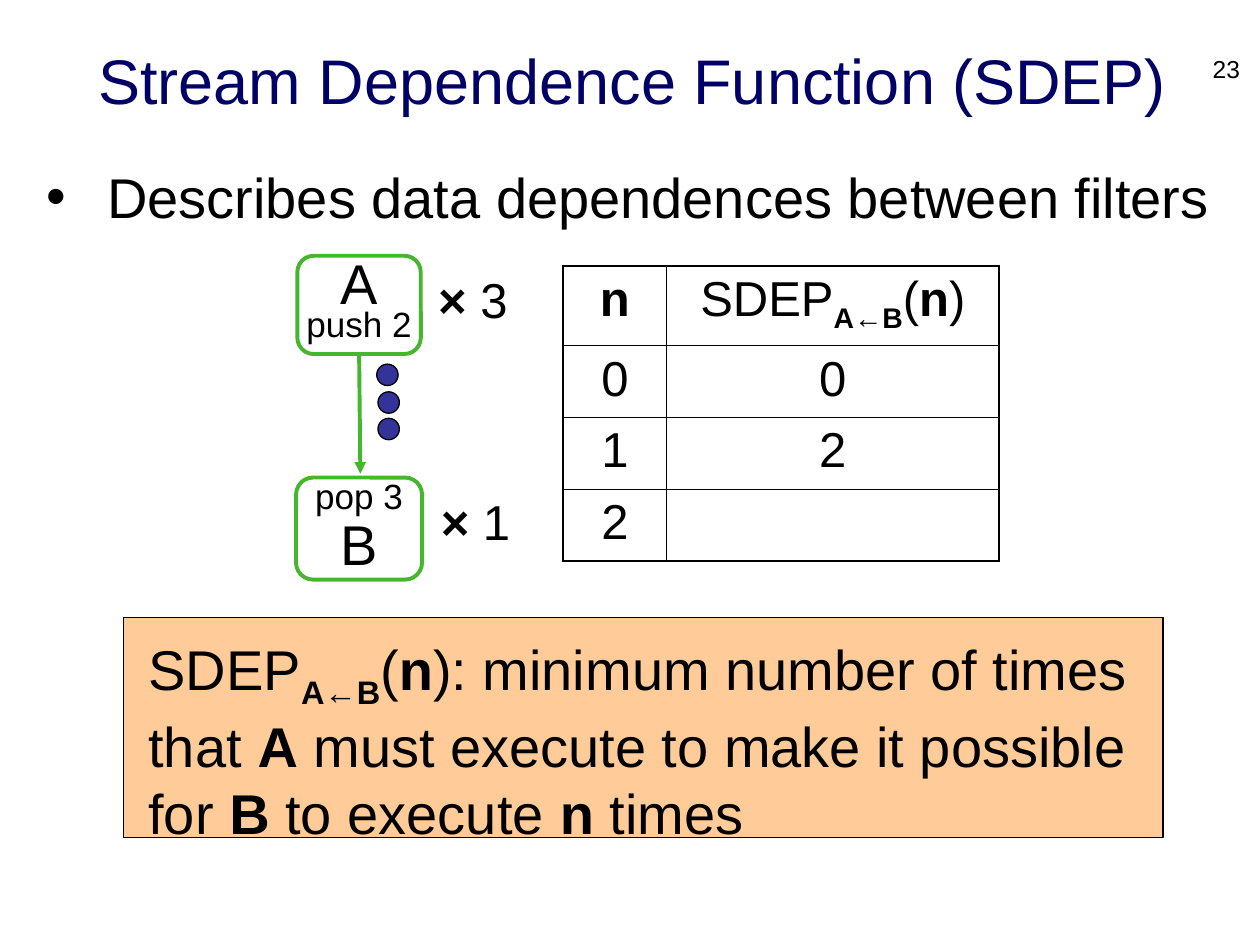
from lxml.etree import SubElement
from pptx import Presentation
from pptx.dml.color import RGBColor
from pptx.enum.shapes import MSO_CONNECTOR, MSO_SHAPE
from pptx.enum.text import MSO_ANCHOR, MSO_AUTO_SIZE, PP_ALIGN
from pptx.oxml.ns import qn
from pptx.util import Inches, Pt

FONT = "Arial"
COLORS = {
    "text": "000000",
    "title": "000066",
    "filter": "45B62E",
    "item": "333399",
    "definition": "FFCC99",
}
PLAIN, BOLD, SUB, BOLD_SUB = "", "b", "s", "bs"
SDEP_OF_N = [
    ("SDEP", PLAIN), ("A", BOLD_SUB), ("←", SUB), ("B", BOLD_SUB),
    ("(", PLAIN), ("n", BOLD), (")", PLAIN),
]
DEFINITION = SDEP_OF_N + [
    (": minimum number of times that ", PLAIN), ("A", BOLD),
    (" must execute to make it possible for ", PLAIN), ("B", BOLD),
    (" to execute ", PLAIN), ("n", BOLD), (" times", PLAIN),
]
SDEP_ROWS = [
    ([("n", BOLD)], SDEP_OF_N),
    ([("0", PLAIN)], [("0", PLAIN)]),
    ([("1", PLAIN)], [("2", PLAIN)]),
    ([("2", PLAIN)], []),
]


def rgb(name):
    return RGBColor.from_string(COLORS[name])


def inches(values):
    return [Inches(value) for value in values]


def add_run(paragraph, text, size, style=PLAIN, color="text"):
    run = paragraph.add_run()
    run.text = text
    font = run.font
    font.name, font.size, font.bold = FONT, Pt(size), "b" in style
    font.color.rgb = rgb(color)
    if "s" in style:
        font._element.set("baseline", "-25000")


def add_runs(paragraph, runs, size):
    for text, style in runs:
        add_run(paragraph, text, size, style)


def set_margins(frame, side=0.1):
    frame.margin_left = frame.margin_right = Inches(side)
    frame.margin_top = frame.margin_bottom = Inches(0.05)


def fill_placeholder(placeholder, box, text, size, color="text"):
    (placeholder.left, placeholder.top,
     placeholder.width, placeholder.height) = inches(box)
    frame = placeholder.text_frame
    frame.auto_size = MSO_AUTO_SIZE.NONE
    set_margins(frame)
    paragraph = frame.paragraphs[0]
    paragraph.space_before = Pt(0)
    add_run(paragraph, text, size, color=color)
    return paragraph


def add_text(slide, box, runs, size, align=PP_ALIGN.LEFT, wrap=True):
    frame = slide.shapes.add_textbox(*inches(box)).text_frame
    frame.word_wrap = wrap
    set_margins(frame)
    frame.paragraphs[0].alignment = align
    add_runs(frame.paragraphs[0], runs, size)


def add_shape(slide, kind, box, fill=None, line="text", width=0.75):
    shape = slide.shapes.add_shape(kind, *inches(box))
    shape.shadow.inherit = False
    if fill:
        shape.fill.solid()
        shape.fill.fore_color.rgb = rgb(fill)
    else:
        shape.fill.background()
    shape.line.color.rgb = rgb(line)
    shape.line.width = Pt(width)
    return shape


def add_filter(slide, box, spacing):
    """Add a rounded filter node and return its first paragraph."""
    node = add_shape(slide, MSO_SHAPE.ROUNDED_RECTANGLE, box,
                     line="filter", width=2.25)
    frame = node.text_frame
    frame.word_wrap = False
    frame.vertical_anchor = MSO_ANCHOR.MIDDLE
    set_margins(frame, side=0.09)
    paragraph = frame.paragraphs[0]
    paragraph.alignment = PP_ALIGN.CENTER
    paragraph.line_spacing = spacing
    return paragraph


def add_arrow(slide, start, end):
    arrow = slide.shapes.add_connector(
        MSO_CONNECTOR.STRAIGHT, *inches(start + end))
    arrow.line.color.rgb = rgb("filter")
    arrow.line.width = Pt(2.25)
    SubElement(arrow.line._get_or_add_ln(), qn("a:tailEnd"), type="triangle")
    SubElement(arrow._element.spPr, qn("a:effectLst"))


def set_borders(cell, widths):
    properties = cell._tc.get_or_add_tcPr()
    for side, width in widths.items():
        border = SubElement(properties, qn(f"a:ln{side}"), w=str(Pt(width)))
        fill = SubElement(border, qn("a:solidFill"))
        SubElement(fill, qn("a:srgbClr"), val=COLORS["text"])


def add_sdep_table(slide):
    columns, heights = (0.82, 2.64), (0.63, 0.57, 0.57, 0.57)
    outer, inner = 1.08, 0.45
    table = slide.shapes.add_table(
        len(heights), len(columns),
        *inches((4.47, 2.11, sum(columns), sum(heights)))).table
    table.first_row = table.horz_banding = False
    for column, width in zip(table.columns, columns):
        column.width = Inches(width)
    for r, (contents, height) in enumerate(zip(SDEP_ROWS, heights)):
        table.rows[r].height = Inches(height)
        for c, runs in enumerate(contents):
            cell = table.cell(r, c)
            set_margins(cell)
            set_borders(cell, {
                "L": outer if c == 0 else inner,
                "R": outer if c == len(columns) - 1 else inner,
                "T": outer if r == 0 else inner,
                "B": outer if r == len(heights) - 1 else inner,
            })
            cell.fill.background()
            paragraph = cell.text_frame.paragraphs[0]
            paragraph.alignment = PP_ALIGN.CENTER
            add_runs(paragraph, runs, 28)


def add_stream_graph(slide):
    consumer = add_filter(slide, (2.35, 3.79, 1, 0.81), 0.9)
    add_run(consumer, "pop 3", 20)
    name = consumer._parent.add_paragraph()
    name.alignment, name.line_spacing = PP_ALIGN.CENTER, 0.9
    add_run(name, "B", 32)

    producer = add_filter(slide, (2.36, 2.03, 0.98, 0.78), 0.7)
    add_run(producer, "A", 32)
    producer.add_line_break()
    add_run(producer, "push 2", 20)

    for left, top, count in ((3.38, 2.09, 3), (3.4, 3.85, 1)):
        add_text(slide, (left, top, 0.83, 0.57),
                 [("×", BOLD), (f" {count}", PLAIN)], 28, wrap=False)
    for left, top in ((2.99, 2.89), (3, 3.11), (3, 3.32)):
        add_shape(slide, MSO_SHAPE.OVAL, (left, top, 0.17, 0.17), fill="item")
    add_arrow(slide, (2.85, 2.8), (2.86, 3.76))


def main():
    deck = Presentation()
    deck.slide_width, deck.slide_height = Inches(10), Inches(7.5)
    slide = deck.slides.add_slide(deck.slide_layouts[1])
    title, body = slide.placeholders

    heading = fill_placeholder(title, (0.29, 0.19, 9.46, 0.88),
                               "Stream Dependence Function (SDEP)", 36, "title")
    heading.alignment = PP_ALIGN.CENTER
    title.text_frame.vertical_anchor = MSO_ANCHOR.MIDDLE

    bullet = fill_placeholder(body, (0.27, 1.24, 9.47, 1.45),
                              "Describes data dependences between filters", 32)
    hanging = Inches(0.48)
    bullet_format = bullet._p.get_or_add_pPr()
    bullet_format.set("marL", str(hanging))
    bullet_format.set("indent", str(-hanging))

    add_stream_graph(slide)
    add_sdep_table(slide)
    add_shape(slide, MSO_SHAPE.RECTANGLE, (0.98, 4.9, 8.25, 1.75),
              fill="definition")
    add_text(slide, (1.08, 4.99, 8.2, 1.78), DEFINITION, 32)
    add_text(slide, (9.46, 0.38, 0.48, 0.3), [("23", PLAIN)], 14,
             align=PP_ALIGN.RIGHT)
    deck.save("out.pptx")


if __name__ == "__main__":
    main()
